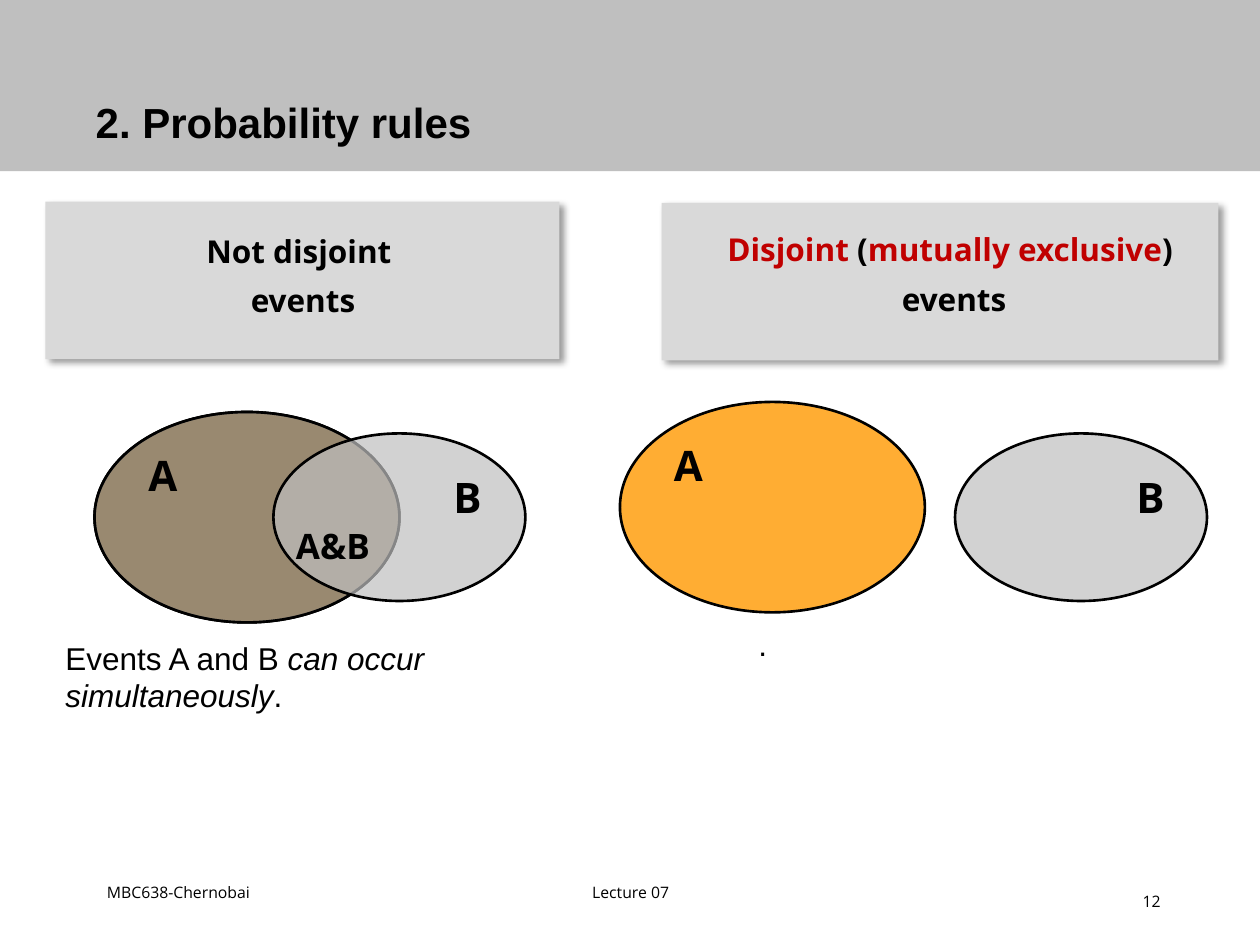
from lxml.etree import SubElement
from pptx import Presentation
from pptx.dml.color import RGBColor
from pptx.enum.shapes import MSO_SHAPE
from pptx.enum.text import MSO_ANCHOR, MSO_AUTO_SIZE, PP_ALIGN
from pptx.oxml.ns import qn
from pptx.util import Inches, Pt

COLORS = {
    "black": "000000",
    "red": "C00000",
    "orange": "FF9900",
    "gray": "808080",
    "silver": "BFBFBF",
    "panel": "D9D9D9",
}


class SlideBuilder:
    """Holds the style and the current slide, and draws each kind of element."""

    heading_font = "Open Sans"
    body_font = "Arial"

    def __init__(self, page):
        self.page = page

    def color(self, name):
        return RGBColor.from_string(COLORS[name])

    def style(self, span, size, font, bold=False, italic=False, color="black"):
        span.font.size = Pt(size)
        span.font.name = font
        span.font.bold = bold
        span.font.italic = italic
        span.font.color.rgb = self.color(color)

    def shape(self, kind, place, fill, opacity=100):
        shape = self.page.shapes.add_shape(kind, *map(Inches, place))
        shape.shadow.inherit = False
        shape.fill.solid()
        shape.fill.fore_color.rgb = self.color(fill)
        shape.line.fill.background()
        if opacity < 100:
            tint = shape.element.spPr.find(qn("a:solidFill"))[0]
            SubElement(tint, qn("a:alpha"), val=str(opacity * 1000))
        return shape

    def panel(self, place):
        panel = self.shape(MSO_SHAPE.RECTANGLE, place, "panel")
        effects = panel.element.spPr.find(qn("a:effectLst"))
        shadow = SubElement(
            effects, qn("a:outerShdw"), blurRad=str(Pt(4)), dist=str(Pt(3)),
            dir=str(45 * 60000), algn="tl", rotWithShape="0",
        )
        tint = SubElement(shadow, qn("a:srgbClr"), val=COLORS["black"])
        SubElement(tint, qn("a:alpha"), val="40000")

    def event(self, place, fill, opacity):
        ellipse = self.shape(MSO_SHAPE.OVAL, place, fill, opacity)
        ellipse.line.color.rgb = self.color("black")
        ellipse.line.width = Pt(1.5)

    def text(self, place, lines, size, font=heading_font, bold=False,
             align=PP_ALIGN.LEFT, anchor=MSO_ANCHOR.TOP):
        box = self.page.shapes.add_textbox(*map(Inches, place))
        frame = box.text_frame
        frame.word_wrap = True
        frame.vertical_anchor = anchor
        for index, spans in enumerate(lines):
            para = frame.add_paragraph() if index else frame.paragraphs[0]
            para.alignment = align
            if index:
                para.space_before = Pt(6.5)
            for words, changes in spans:
                span = para.add_run()
                span.text = words
                self.style(span, size, font, **{"bold": bold, **changes})

    def label(self, left, top, words, size=24, width=0.5):
        self.text((left, top, width, 0.5), [[(words, {})]], size, bold=True)

    def heading(self, place, lines):
        self.text(place, lines, 18, bold=True, align=PP_ALIGN.CENTER)

    def statement(self, place, spans):
        self.text(place, [spans], 18, self.body_font)

    def footer(self, place, words, align):
        self.text(place, [[(words, {})]], 9, align=align, anchor=MSO_ANCHOR.MIDDLE)

    def title(self, place, words):
        title = self.page.shapes.title
        title.left, title.top, title.width, title.height = map(Inches, place)
        frame = title.text_frame
        frame.text = words
        frame.word_wrap = True
        frame.auto_size = MSO_AUTO_SIZE.NONE
        frame.vertical_anchor = MSO_ANCHOR.MIDDLE
        para = frame.paragraphs[0]
        para.alignment = PP_ALIGN.LEFT
        para.line_spacing = 0.9
        self.style(para.runs[0], 24, self.body_font, bold=True)
        title.element.getparent().append(title.element)


def main():
    deck = Presentation()
    deck.slide_width, deck.slide_height = Inches(10), Inches(7.5)
    builder = SlideBuilder(deck.slides.add_slide(deck.slide_layouts[5]))

    builder.footer((0.75, 6.83, 2.08, 0.5), "MBC638-Chernobai", PP_ALIGN.LEFT)
    builder.footer((3.42, 6.83, 3.17, 0.5), "Lecture 07", PP_ALIGN.CENTER)
    builder.footer((7.06, 6.95, 2.25, 0.4), "12", PP_ALIGN.RIGHT)

    builder.panel((5.25, 1.61, 4.42, 1.25))
    builder.panel((0.36, 1.6, 4.08, 1.25))
    red = {"color": "red"}
    builder.heading((1.03, 1.79, 2.75, 0.86), [[("Not disjoint ", {})], [("events", {})]])
    builder.heading((5.25, 1.78, 4.58, 0.86), [
        [("Disjoint", red), (" (", {}), ("mutually exclusive", red), (")", {})],
        [(" events", {})],
    ])

    for left, top, width, height, fill, opacity in (
        (0.75, 3.27, 2.42, 1.67, "orange", 80),
        (0.75, 3.27, 2.42, 1.67, "gray", 80),
        (2.17, 3.44, 2, 1.33, "silver", 70),
        (4.92, 3.19, 2.42, 1.67, "orange", 80),
        (7.58, 3.44, 2, 1.33, "silver", 70),
    ):
        builder.event((left, top, width, height), fill, opacity)

    builder.label(1.08, 3.52, "A")
    builder.label(3.5, 3.69, "B")
    builder.label(2.25, 4.11, "A&B", size=20, width=0.92)
    builder.label(5.25, 3.44, "A")
    builder.label(8.92, 3.69, "B")

    builder.statement((0.42, 5.02, 3.92, 0.7), [
        ("Events A and B ", {}), ("can occur simultaneously", {"italic": True}), (".", {}),
    ])
    builder.statement((5.42, 4.91, 4.25, 0.4), [("\t.", {})])

    builder.shape(MSO_SHAPE.RECTANGLE, (0, 0, 10, 1.36), "silver")
    builder.title((0.66, 0.27, 8.62, 1.45), "2. Probability rules")
    deck.save("out.pptx")


if __name__ == "__main__":
    main()
